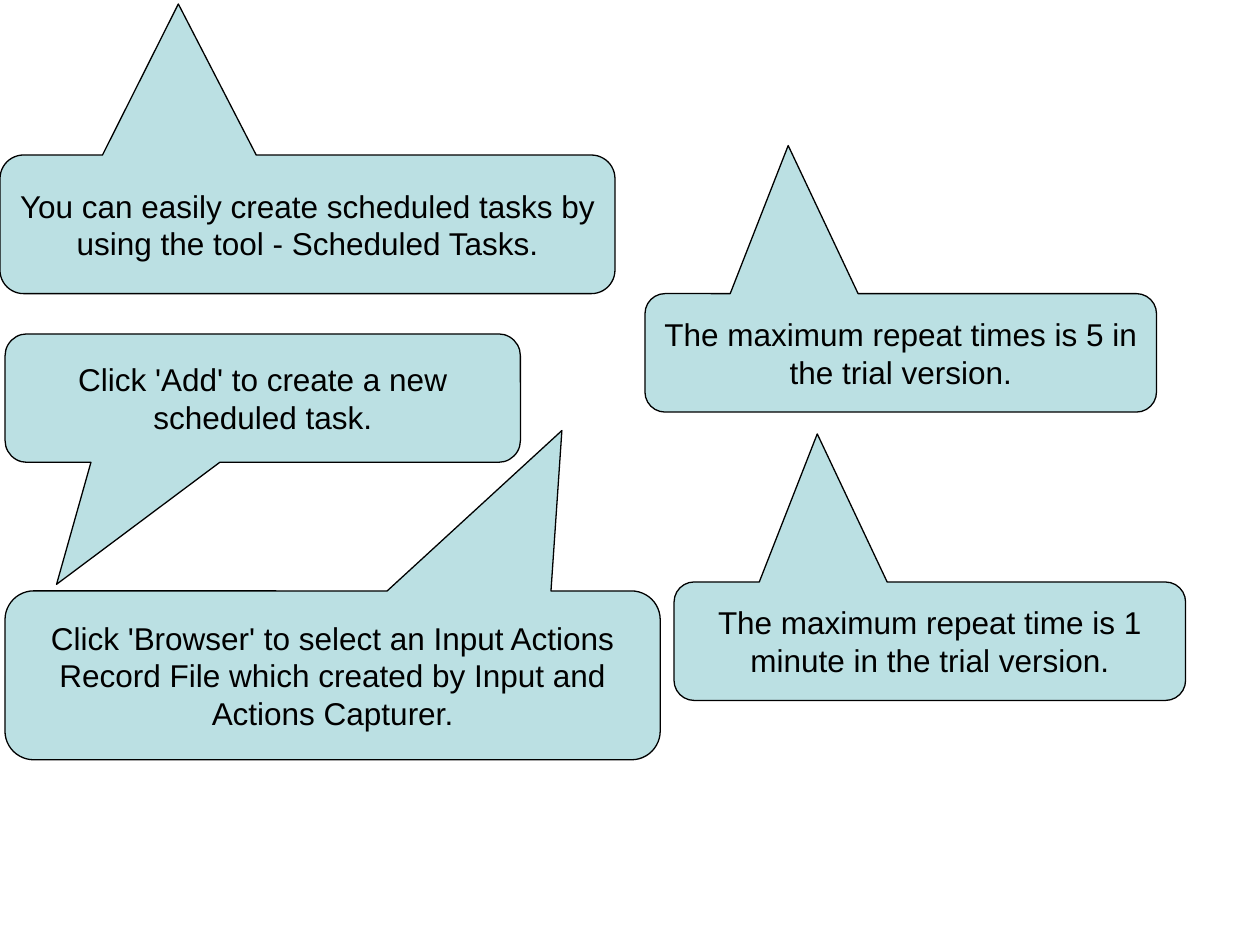
from pptx import Presentation
from pptx.dml.color import RGBColor
from pptx.enum.shapes import MSO_SHAPE as Preset
from pptx.enum.text import MSO_ANCHOR as Anchor, PP_ALIGN as Align
from pptx.util import Pt

SLIDE_SIZE = (720, 540)
THEME = {
    "fill": RGBColor.from_string("BBE0E3"),
    "ink": RGBColor.from_string("000000"),
    "line": 0.74,
    "font": "Arial",
    "size": 18,
    "corner": 0.17,
}
REPEAT_SIZE = (292.3, 67.7)
REPEAT_TIP = (-0.22, -1.75)

# text, (left, top), (width, height), pointer tip as shares of the size from the centre
CALLOUTS = [
    ("You can easily create scheduled tasks by using the tool - Scheduled Tasks.",
     (0, 88.6), (351.4, 79.2), (-0.21, -1.59)),
    ("Click 'Add' to create a new scheduled task.",
     (2.9, 190.8), (294.5, 73.4), (-0.4, 1.45)),
    ("Click 'Browser' to select an Input Actions Record File which created by "
     "Input and Actions Capturer.",
     (2.9, 337.7), (374.4, 96.5), (0.35, -1.45)),
    ("The maximum repeat times is 5 in the trial version.",
     (368.6, 167.8), REPEAT_SIZE, REPEAT_TIP),
    ("The maximum repeat time is 1 minute in the trial version.",
     (385.2, 332.6), REPEAT_SIZE, REPEAT_TIP),
]
FRAME_FORMAT = {
    "word_wrap": True, "vertical_anchor": Anchor.MIDDLE,
    "margin_left": Pt(7.2), "margin_right": Pt(7.2),
    "margin_top": Pt(3.6), "margin_bottom": Pt(3.6),
}
FONT_FORMAT = {"name": THEME["font"], "size": Pt(THEME["size"])}


def apply(target, values):
    """Set each named attribute of the target."""
    for name, value in values.items():
        setattr(target, name, value)


def add_callout(page, text, place, size, tip):
    """Draw one rounded speech callout with centred text."""
    box = page.shapes.add_shape(
        Preset.ROUNDED_RECTANGULAR_CALLOUT, *(Pt(v) for v in place + size))
    for index, value in enumerate((*tip, THEME["corner"])):
        box.adjustments[index] = value
    box.shadow.inherit = False
    box.fill.solid()
    box.fill.fore_color.rgb = THEME["fill"]
    box.line.color.rgb = THEME["ink"]
    box.line.width = Pt(THEME["line"])
    apply(box.text_frame, FRAME_FORMAT)
    para = box.text_frame.paragraphs[0]
    para.alignment = Align.CENTER
    span = para.add_run()
    span.text = text
    apply(span.font, FONT_FORMAT)
    span.font.color.rgb = THEME["ink"]


def main():
    """Build the slide and save it."""
    deck = Presentation()
    deck.slide_width, deck.slide_height = (Pt(v) for v in SLIDE_SIZE)
    page = deck.slides.add_slide(deck.slide_layouts.get_by_name("Blank"))
    for callout in CALLOUTS:
        add_callout(page, *callout)
    deck.save("out.pptx")


main()
